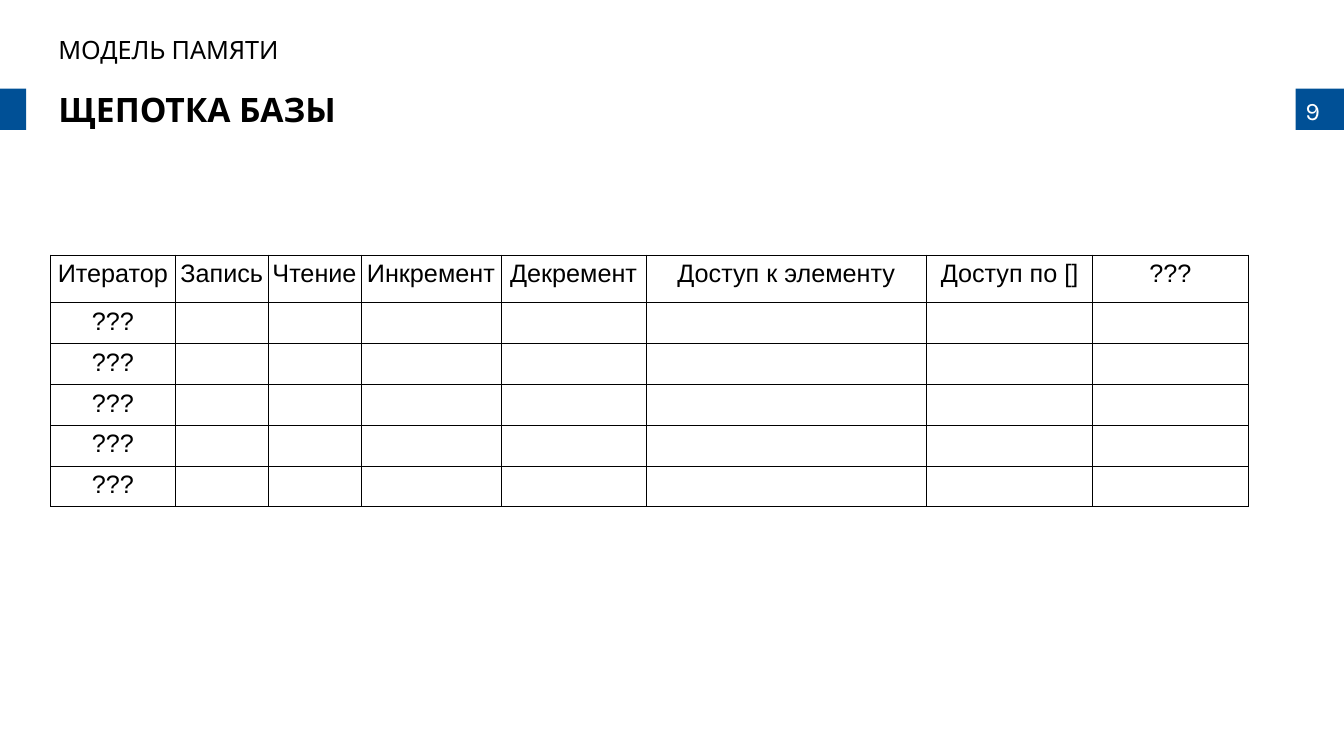
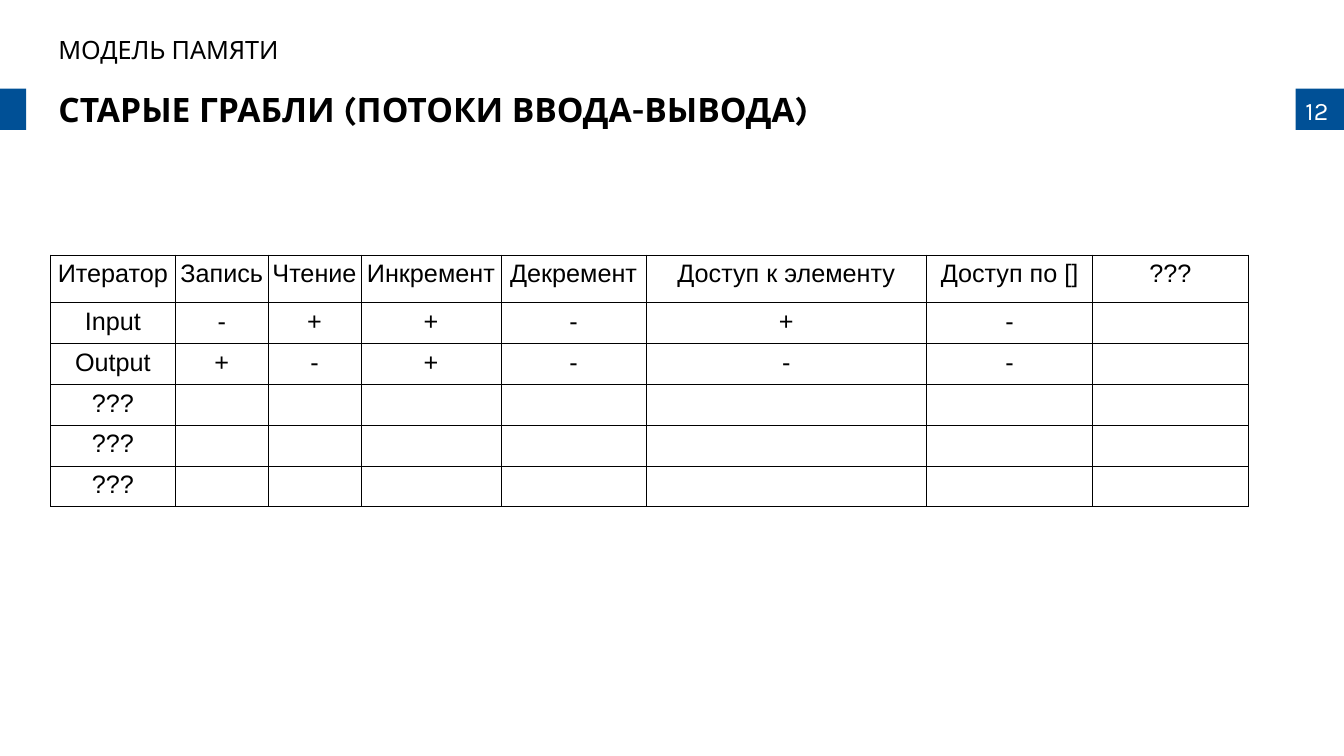
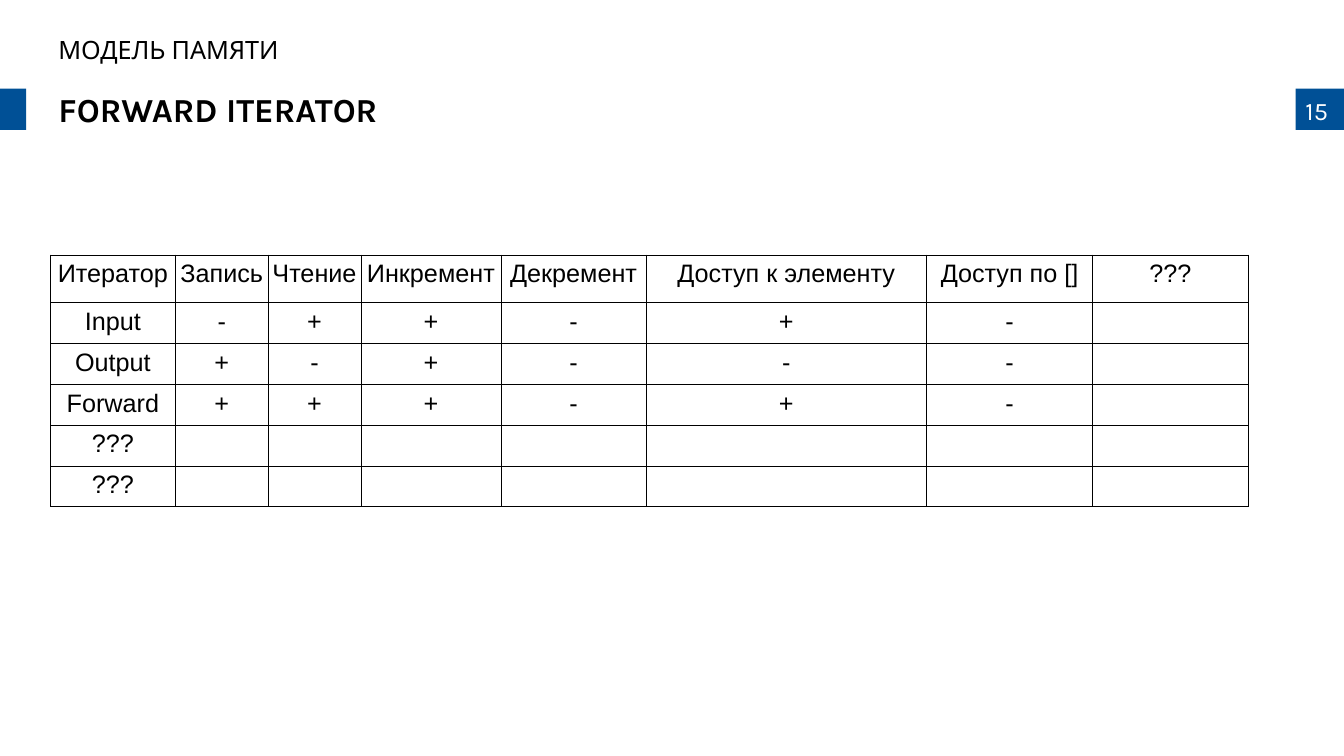
from lxml.etree import SubElement
from pptx import Presentation
from pptx.dml.color import RGBColor
from pptx.enum.shapes import MSO_SHAPE
from pptx.enum.text import MSO_ANCHOR, MSO_AUTO_SIZE, PP_ALIGN
from pptx.oxml.ns import qn
from pptx.util import Inches, Pt

# Shared style
BLUE = RGBColor(0x00, 0x50, 0x96)
BLACK = RGBColor(0x00, 0x00, 0x00)
WHITE = RGBColor(0xFF, 0xFF, 0xFF)
TITLE_FONT = {"name": "Karla", "size": Pt(24), "bold": True}
CAPTION_FONT = {"name": "Karla", "size": Pt(18), "bold": False}
CELL_FONT = {"name": "Arial", "size": Pt(18), "bold": False}
HEADING_SPACING = {"line_spacing": 0.9, "space_before": Pt(10)}
FRAME_FORMAT = {
    "word_wrap": True,
    "auto_size": MSO_AUTO_SIZE.NONE,
    "vertical_anchor": MSO_ANCHOR.TOP,
    "margin_left": Inches(0.1),
    "margin_right": Inches(0.1),
    "margin_top": Inches(0.05),
    "margin_bottom": Inches(0.05),
}
CELL_FORMAT = {
    "vertical_anchor": MSO_ANCHOR.TOP,
    "margin_left": Inches(0.04),
    "margin_right": Inches(0.04),
    "margin_top": Inches(0.05),
    "margin_bottom": Inches(0.05),
}
BORDER_WIDTH = Pt(0.57)
BAND_TOP, BAND_HEIGHT = 0.88, 0.41
BANDS = [(0, 0.26), (12.85, 0.48)]  # left, width

# Content
CAPTION = "МОДЕЛЬ ПАМЯТИ"
COLUMNS = {
    "Итератор": 1.24,
    "Запись": 0.92,
    "Чтение": 0.92,
    "Инкремент": 1.39,
    "Декремент": 1.44,
    "Доступ к элементу": 2.78,
    "Доступ по []": 1.65,
    "???": 1.54,
}
ITERATORS = [
    ("Input", "-++-+-"),
    ("Output", "+-+---"),
    ("Forward", "+++-+-"),
]
ITERATOR_ROWS = 5
HEADER_HEIGHT, ROW_HEIGHT = 0.47, 0.4
# Number, title, count of iterators already revealed
SLIDES = [
    (9, "ЩЕПОТКА БАЗЫ", 0),
    (12, "СТАРЫЕ ГРАБЛИ (ПОТОКИ ВВОДА-ВЫВОДА)", 2),
    (15, "FORWARD ITERATOR", 3),
]


def apply_format(target, values):
    for name, value in values.items():
        setattr(target, name, value)


def write_paragraph(paragraph, text, font, color=BLACK, alignment=PP_ALIGN.LEFT):
    paragraph.alignment = alignment
    run = paragraph.add_run()
    run.text = text
    apply_format(run.font, font)
    run.font.color.rgb = color


def fill_frame(shape, text, font, color=BLACK, spacing=None):
    frame = shape.text_frame
    apply_format(frame, FRAME_FORMAT)
    paragraph = frame.paragraphs[0]
    apply_format(paragraph, spacing or {})
    write_paragraph(paragraph, text, font, color)


def add_text(slide, left, top, width, height, text, font, color=BLACK, spacing=None):
    box = slide.shapes.add_textbox(
        Inches(left), Inches(top), Inches(width), Inches(height))
    fill_frame(box, text, font, color, spacing)


def add_bands(slide, number):
    for left, width in BANDS:
        band = slide.shapes.add_shape(
            MSO_SHAPE.RECTANGLE, Inches(left), Inches(BAND_TOP),
            Inches(width), Inches(BAND_HEIGHT))
        band.shadow.inherit = False
        band.fill.solid()
        band.fill.fore_color.rgb = BLUE
        band.line.fill.background()
    add_text(slide, 12.85, 0.9, 0.47, 0.4, str(number), CAPTION_FONT, WHITE)


def add_headings(slide, title_text):
    title = slide.shapes.title
    apply_format(title, {
        "left": Inches(0.48), "top": Inches(BAND_TOP),
        "width": Inches(10.9), "height": Inches(BAND_HEIGHT),
    })
    fill_frame(title, title_text, TITLE_FONT, spacing=HEADING_SPACING)
    add_text(slide, 0.48, 0.33, 10.9, 0.34, CAPTION, CAPTION_FONT,
             spacing=HEADING_SPACING)


def add_borders(cell):
    properties = cell._tc.get_or_add_tcPr()
    for side in ("a:lnL", "a:lnR", "a:lnT", "a:lnB"):
        line = SubElement(properties, qn(side), w=str(int(BORDER_WIDTH)))
        fill = SubElement(line, qn("a:solidFill"))
        SubElement(fill, qn("a:srgbClr"), val=str(BLACK))


def add_iterator_table(slide, revealed):
    rows = [list(COLUMNS)]
    rows += [[name, *marks] for name, marks in ITERATORS[:revealed]]
    rows += [["???"] for _ in range(ITERATOR_ROWS - revealed)]
    widths = list(COLUMNS.values())
    heights = [HEADER_HEIGHT] + [ROW_HEIGHT] * ITERATOR_ROWS

    table = slide.shapes.add_table(
        len(rows), len(widths), Inches(0.5), Inches(2.53),
        Inches(sum(widths)), Inches(sum(heights))).table
    apply_format(table, {"first_row": False, "horz_banding": False})
    for column, width in zip(table.columns, widths):
        column.width = Inches(width)
    for row, height, texts in zip(table.rows, heights, rows):
        row.height = Inches(height)
        for cell in row.cells:
            apply_format(cell, CELL_FORMAT)
            add_borders(cell)
            cell.fill.background()
        for cell, text in zip(row.cells, texts):
            write_paragraph(cell.text_frame.paragraphs[0], text, CELL_FONT,
                            alignment=PP_ALIGN.CENTER)


def main():
    presentation = Presentation()
    presentation.slide_width = Inches(13.33)
    presentation.slide_height = Inches(7.5)
    title_only = presentation.slide_layouts[5]
    for number, title, revealed in SLIDES:
        slide = presentation.slides.add_slide(title_only)
        add_bands(slide, number)
        add_headings(slide, title)
        add_iterator_table(slide, revealed)
    presentation.save("out.pptx")


if __name__ == "__main__":
    main()
